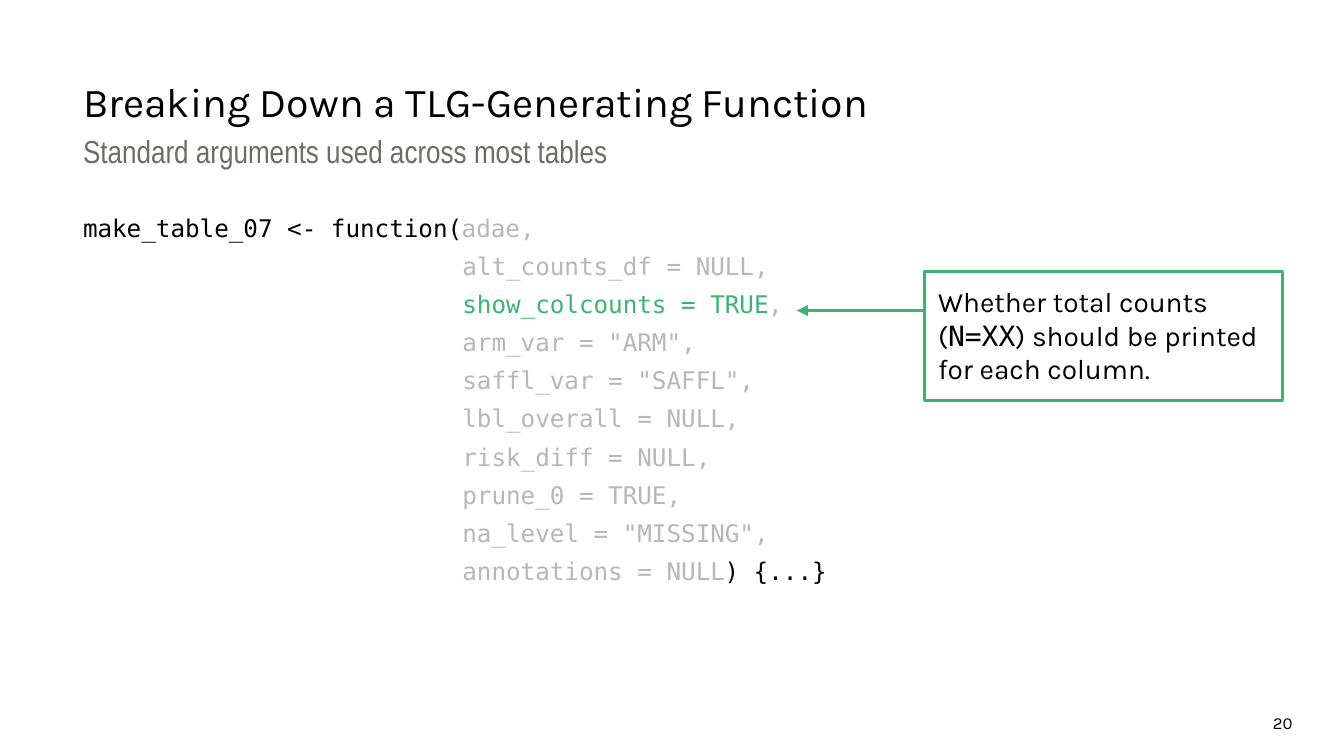
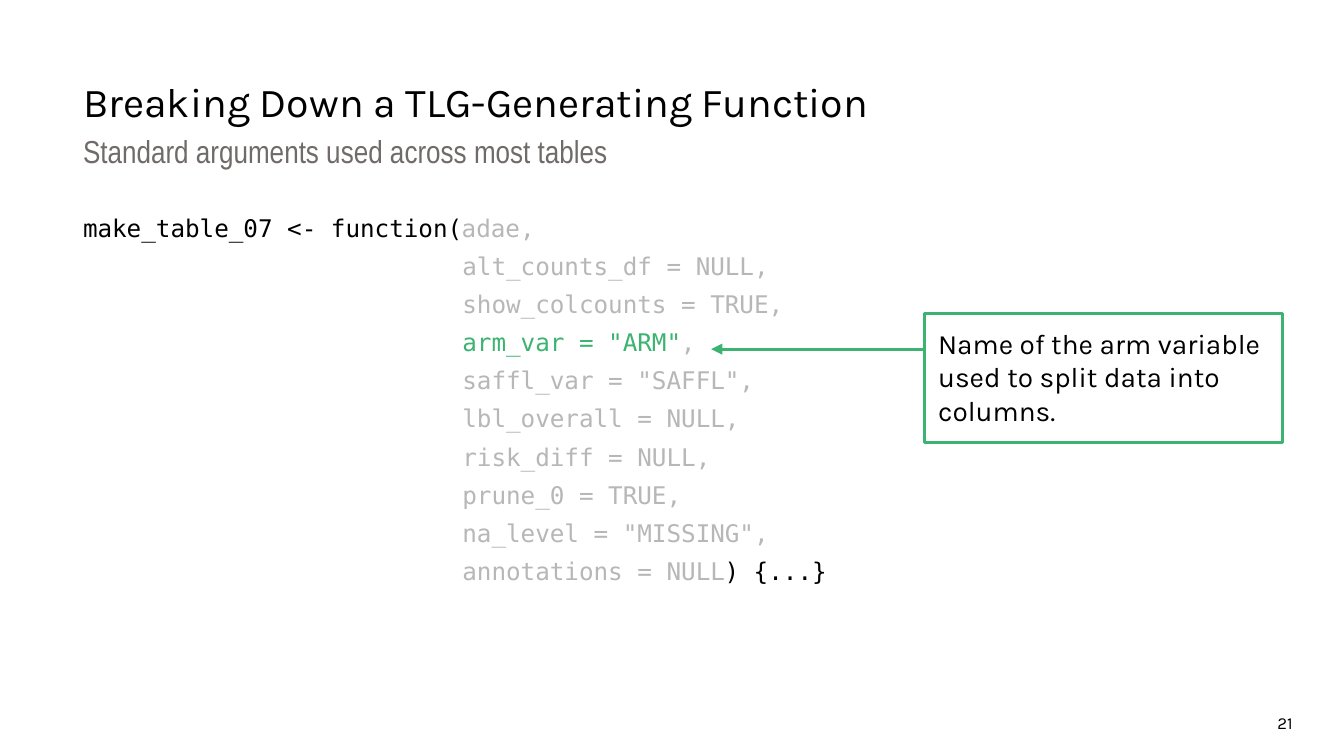
from lxml.etree import SubElement
from pptx import Presentation
from pptx.dml.color import RGBColor
from pptx.enum.shapes import MSO_CONNECTOR, MSO_SHAPE
from pptx.enum.text import MSO_ANCHOR, MSO_AUTO_SIZE, PP_ALIGN
from pptx.oxml.ns import qn
from pptx.util import Cm, Pt

BLACK = RGBColor(0x00, 0x00, 0x00)
GRAY = RGBColor(0x70, 0x6B, 0x69)
LIGHT = RGBColor(0xB7, 0xB7, 0xB7)
GREEN = RGBColor(0x3C, 0xB3, 0x71)
SANS, NARROW, MONO = "Karla", "Arial Narrow", "DejaVu Sans Mono"

LEFT = 1.57
CALLOUT_LEFT = 17.48
CODE_INDENT = 7.17
TITLE_ONLY = 5

ARGUMENTS = [
    "adae",
    "alt_counts_df = NULL",
    "show_colcounts = TRUE",
    "arm_var = \"ARM\"",
    "saffl_var = \"SAFFL\"",
    "lbl_overall = NULL",
    "risk_diff = NULL",
    "prune_0 = TRUE",
    "na_level = \"MISSING\"",
    "annotations = NULL",
]

SLIDES = [
    dict(number=20, argument="show_colcounts = TRUE", top=5.13,
         arrow_y=5.87, arrow_tip=15.06,
         note=[("Whether total counts (", SANS), ("N=XX", MONO),
               (") should be printed for each column.", SANS)]),
    dict(number=21, argument="arm_var = \"ARM\"", top=5.92,
         arrow_y=6.6, arrow_tip=13.44,
         note=[("Name of the arm variable used to split data into columns.", SANS)]),
]


def add_run(p, text, font=SANS, size=15, color=BLACK):
    r = p.add_run()
    r.text = text
    r.font.name = font
    r.font.size = Pt(size)
    r.font.color.rgb = color


class Deck:
    def __init__(self):
        self.prs = Presentation()
        self.prs.slide_width = Cm(25.4)
        self.prs.slide_height = Cm(14.29)
        self.s = None

    def add_slide(self):
        self.s = self.prs.slides.add_slide(self.prs.slide_layouts[TITLE_ONLY])

    def frame(self, sp, insets, anchor=MSO_ANCHOR.TOP):
        tf = sp.text_frame
        tf.word_wrap = True
        tf.auto_size = MSO_AUTO_SIZE.NONE
        tf.vertical_anchor = anchor
        tf.margin_left, tf.margin_top, tf.margin_right, tf.margin_bottom = map(Cm, insets)
        tf.paragraphs[0].alignment = PP_ALIGN.LEFT
        return tf

    def text_box(self, x, y, w, h, insets):
        return self.frame(self.s.shapes.add_textbox(Cm(x), Cm(y), Cm(w), Cm(h)), insets)

    def title(self, text):
        sp = self.s.shapes.title
        sp.left, sp.top, sp.width, sp.height = Cm(LEFT), Cm(1.19), Cm(20.65), Cm(1.07)
        tf = self.frame(sp, (0, 0.25, 0.25, 0.25))
        add_run(tf.paragraphs[0], text, size=22)

    def subtitle(self, text):
        p = self.text_box(LEFT, 2.46, 20.65, 0.89, (0, 0, 0.25, 0.05)).paragraphs[0]
        p.line_spacing = 1.05
        add_run(p, text, font=NARROW, size=17, color=GRAY)

    def page_number(self, number):
        p = self.text_box(22.91, 13.23, 1.52, 0.71, (0.25, 0.25, 0, 0.25)).paragraphs[0]
        p.alignment = PP_ALIGN.RIGHT
        add_run(p, str(number), size=9)

    def code(self, arguments, highlighted):
        tf = self.text_box(LEFT, 4.01, 22.86, 9.35, (0, 0, 0, 0))
        style = dict(font=MONO, size=13)
        for i, argument in enumerate(arguments):
            p = tf.add_paragraph() if i else tf.paragraphs[0]
            p.line_spacing = 1.05
            p.space_before = Pt(4)
            if i:
                p._p.get_or_add_pPr().set("marL", str(Cm(CODE_INDENT)))
            else:
                add_run(p, "make_table_07 <- function(", **style)
            color = GREEN if argument == highlighted else LIGHT
            add_run(p, argument, color=color, **style)
            if argument == arguments[-1]:
                add_run(p, ") {...}", **style)
            else:
                add_run(p, ",", color=LIGHT, **style)

    def callout(self, top, note):
        sp = self.s.shapes.add_shape(MSO_SHAPE.RECTANGLE, Cm(CALLOUT_LEFT), Cm(top),
                                     Cm(6.76), Cm(2.44))
        sp.shadow.inherit = False
        sp.fill.background()
        sp.line.color.rgb = GREEN
        sp.line.width = Pt(1.5)
        tf = self.frame(sp, (0.25, 0.25, 0.25, 0.25))
        for text, font in note:
            add_run(tf.paragraphs[0], text, font=font)

    def arrow(self, tip, y):
        line = self.s.shapes.add_connector(MSO_CONNECTOR.STRAIGHT, Cm(CALLOUT_LEFT), Cm(y),
                                           Cm(tip), Cm(y))
        line.line.color.rgb = GREEN
        line.line.width = Pt(1.5)
        SubElement(line.line._get_or_add_ln(), qn("a:tailEnd"), type="triangle")
        SubElement(line._element.spPr, qn("a:effectLst"))


def main():
    deck = Deck()
    for spec_row in SLIDES:
        deck.add_slide()
        deck.page_number(spec_row["number"])
        deck.title("Breaking Down a TLG-Generating Function")
        deck.code(ARGUMENTS, spec_row["argument"])
        deck.callout(spec_row["top"], spec_row["note"])
        deck.arrow(spec_row["arrow_tip"], spec_row["arrow_y"])
        deck.subtitle("Standard arguments used across most tables")
    deck.prs.save("out.pptx")


if __name__ == "__main__":
    main()
